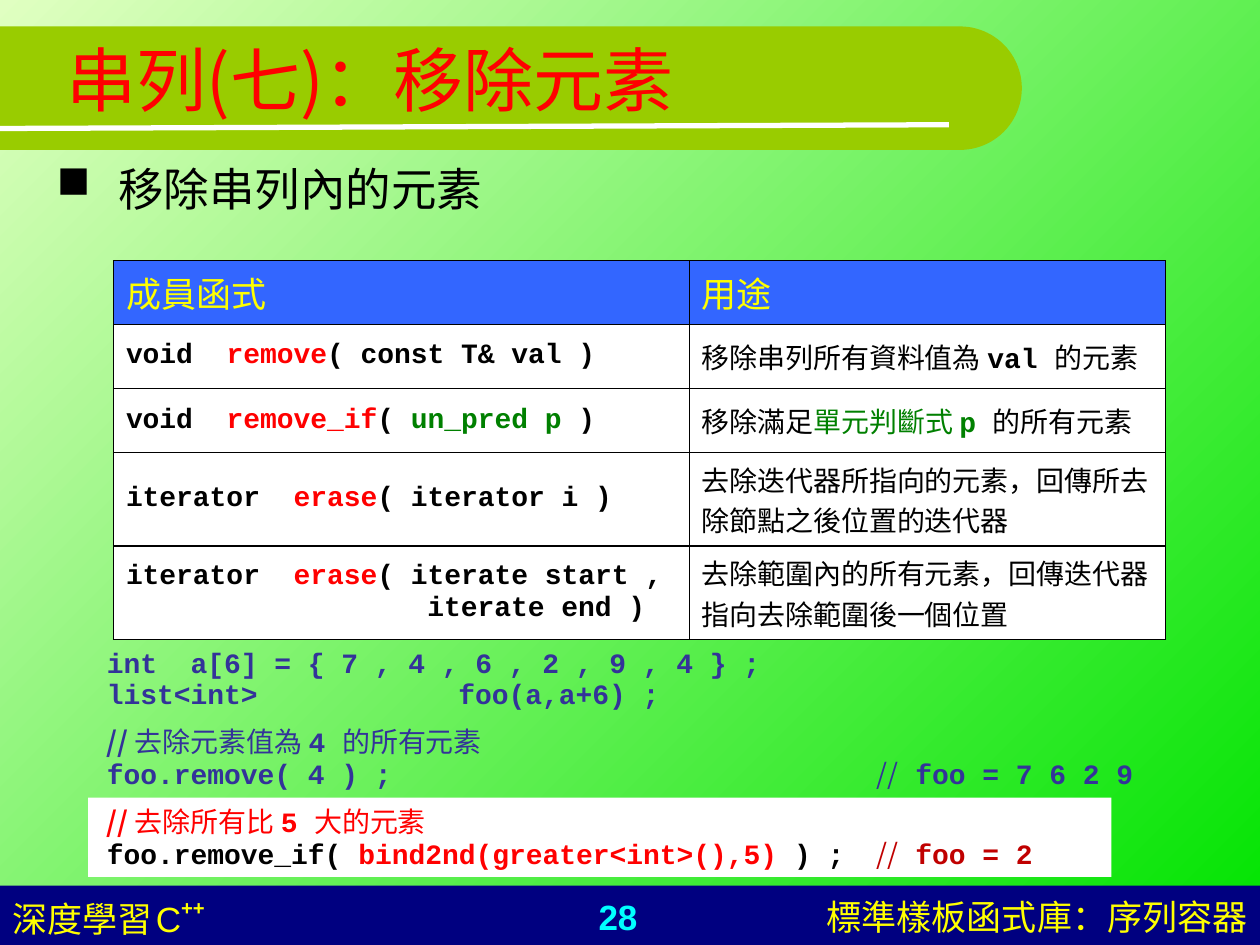
import math
from lxml import etree
from pptx import Presentation
from pptx import util as u
from pptx.dml import color
from pptx.enum import shapes, text
from pptx.oxml import ns

SANS, MONO = "Arial", "Courier New"
CJK_TC, CJK_SC = "Noto Sans CJK TC", "Noto Sans CJK SC"
BLACK, WHITE, RED, GREEN, YELLOW = "000000", "FFFFFF", "FF0000", "008000", "FFFF00"
INDIGO, CRIMSON = "333399", "C00000"
LEFT, CENTER, RIGHT = text.PP_ALIGN.LEFT, text.PP_ALIGN.CENTER, text.PP_ALIGN.RIGHT
MIDDLE = text.MSO_ANCHOR.MIDDLE


def rgb(hex_code):
    return color.RGBColor.from_string(hex_code)


def child(parent, tag, **attributes):
    return etree.SubElement(parent, ns.qn(tag), attributes)


def box(*lengths):
    return [u.Inches(length) for length in lengths]


def style_font(font, size=None, ink=None, bold=None, name=None, raised=None):
    if size:
        font.size = u.Pt(size)
    if ink:
        font.color.rgb = rgb(ink)
    if bold is not None:
        font.bold = bold
    if name:
        font.name = name
        child(font._element, "a:ea", typeface=CJK_SC if name == CJK_SC else CJK_TC)
    if raised:
        font._element.set("baseline", str(raised * 1000))


def run(words, **style):
    return words, style


def code(words, ink=None):
    return run(words, bold=True, ink=ink)


class SlideBuilder:
    def __init__(self, deck):
        self.slide = deck.slides.add_slide(deck.slide_layouts[5])
        self.shapes = self.slide.shapes

    def background(self, start, end):
        fill = self.slide.background.fill
        fill.gradient()
        fill.gradient_angle = 315
        for stop, hex_code in zip(fill.gradient_stops, (start, end)):
            stop.color.rgb = rgb(hex_code)

    def paint(self, shape, fill):
        shape.shadow.inherit = False
        shape.fill.solid()
        shape.fill.fore_color.rgb = rgb(fill)
        shape.line.fill.background()

    def rectangle(self, place, fill):
        self.paint(self.shapes.add_shape(shapes.MSO_SHAPE.RECTANGLE, *box(*place)), fill)

    def rounded_band(self, top, radius, centre_x, fill):
        """Band from the left edge of the slide that ends in a half circle."""
        steps = 48
        arc = [(centre_x + radius * math.sin(math.pi * i / steps),
                top + radius * (1 - math.cos(math.pi * i / steps)))
               for i in range(steps + 1)]
        outline = self.shapes.build_freeform(0, u.Inches(top))
        outline.add_line_segments([box(*point) for point in arc + [(0, top + 2 * radius)]])
        self.paint(outline.convert_to_shape(), fill)

    def line(self, ends, ink, width):
        rule = self.shapes.add_connector(shapes.MSO_CONNECTOR.STRAIGHT, *box(*ends))
        rule.line.color.rgb = rgb(ink)
        rule.line.width = u.Pt(width)
        child(rule._element.spPr, "a:effectLst")

    def paragraph(self, para, runs, align=LEFT, tabs=(), bullet=None, hanging=0,
                  spacing=None, before=None, **style):
        para.alignment = align
        if spacing:
            para.line_spacing = spacing
        if before:
            para.space_before = u.Pt(before)
        props = para._p.get_or_add_pPr()
        if hanging:
            props.set("marL", str(u.Inches(hanging)))
            props.set("indent", str(-u.Inches(hanging)))
        if bullet:
            child(child(props, "a:buClr"), "a:srgbClr", val=BLACK)
            child(props, "a:buChar", char=bullet)
        if tabs:
            stops = child(props, "a:tabLst")
            for stop in tabs:
                child(stops, "a:tab", pos=str(u.Inches(stop)), algn="l")
        style_font(para.font, **style)
        for words, changes in runs:
            for number, line in enumerate(words.split("\n")):
                if number:
                    para.add_line_break()
                part = para.add_run()
                part.text = line
                style_font(part.font, **changes)

    def text(self, place, paragraphs, **common):
        """Each paragraph is a pair: its runs and its own settings."""
        frame = self.shapes.add_textbox(*box(*place)).text_frame
        frame.word_wrap = True
        for number, (runs, own) in enumerate(paragraphs):
            para = frame.add_paragraph() if number else frame.paragraphs[0]
            self.paragraph(para, runs, **{**common, **own})

    def title(self, place, runs, **style):
        title = self.shapes.title
        title.left, title.top, title.width, title.height = box(*place)
        title.text_frame.vertical_anchor = MIDDLE
        self.paragraph(title.text_frame.paragraphs[0], runs, **style)
        self.shapes._spTree.append(title._element)  # in front of the band

    def cell(self, cell, runs, fill, **style):
        cell.vertical_anchor = MIDDLE
        cell.margin_left = cell.margin_right = u.Inches(0.1)
        props = cell._tc.get_or_add_tcPr()
        for side in "LRTB":
            border = child(props, f"a:ln{side}", w=str(u.Pt(0.75)))
            child(child(border, "a:solidFill"), "a:srgbClr", val=BLACK)
        cell.fill.solid()
        cell.fill.fore_color.rgb = rgb(fill)
        self.paragraph(cell.text_frame.paragraphs[0], runs, name=MONO, **style)

    def table(self, left, top, widths, heights, header, rows):
        table = self.shapes.add_table(len(heights), len(widths), *box(
            left, top, sum(widths), sum(heights))).table
        table.first_row = table.horz_banding = False
        for column, width in zip(table.columns, widths):
            column.width = u.Inches(width)
        for row, height in zip(table.rows, heights):
            row.height = u.Inches(height)
        for column, label in enumerate(header):
            self.cell(table.cell(0, column), [run(label)], "3366FF", size=20, ink=YELLOW)
        for number, (function, purpose, hanging) in enumerate(rows, 1):
            self.cell(table.cell(number, 0), function, WHITE, size=16, ink=BLACK,
                      bold=True, hanging=hanging)
            self.cell(table.cell(number, 1), purpose, WHITE, size=16, ink=BLACK)


def main():
    deck = Presentation()
    deck.slide_width, deck.slide_height = box(10, 7.5)
    page = SlideBuilder(deck)
    page.background("E0FFC1", "00E400")
    page.rectangle((0, 7.03, 10, 0.47), "000080")
    page.rounded_band(0.21, 0.49, 7.62, "99CC00")
    page.line((0, 1.02, 7.53, 0.99), WHITE, 3)
    page.rectangle((0.7, 6.33, 8.12, 0.63), WHITE)

    footer = dict(size=20, name=SANS)
    page.text((3.74, 7.06, 2.33, 0.44), [([run("28")], {})],
              align=CENTER, ink="00FFFF", bold=True, **footer)
    page.text((5.63, 7.06, 4.37, 0.44),
              [([run("標準樣板函式庫"), run("：", name=CJK_TC), run("序列容器")], {})],
              align=RIGHT, ink=YELLOW, **footer)
    page.text((0, 7.06, 2.33, 0.44),
              [([run("深度學習"), run(" ", size=8), run("C"),
                 run("++", bold=True, raised=46)], {})], ink=YELLOW, **footer)

    page.text((0.35, 1.31, 9.35, 0.47), [([run("移除串列內的元素")], {})],
              bullet="■", hanging=0.49, spacing=0.8, size=26, ink=BLACK, name=MONO)
    page.title((0.43, 0, 9, 1.25),
               [run("串列"), run("(七)", name=CJK_SC), run("：移除元素")],
               size=40, ink=RED, name=SANS)

    page.table(0.9, 2.07, (4.57, 3.78), (0.47, 0.51, 0.51, 0.64, 0.64),
               ("成員函式", "用途"), [
        ([run("void  "), run("remove", ink=RED), run("( const T& val )")],
         [run("移除串列所有資料值為 "), code("val "), run("的元素")], 0),
        ([run("void  "), run("remove_if", ink=RED), run("( "),
          run("un_pred p", ink=GREEN), run(" )")],
         [run("移除滿足"), run("單元判斷式 ", ink=GREEN), code("p ", GREEN),
          run("的所有元素")], 0),
        ([run("iterator  "), run("erase", ink=RED), run("( iterator i )")],
         [run("去除迭代器所指向的元素，回傳所去除節點之後位置的迭代器")], 2.12),
        ([run("iterator  "), run("erase", ink=RED),
          run("( iterate start ,\n iterate end )")],
         [run("去除範圍內的所有元素，回傳迭代器指向去除範圍後一個位置")], 2.26),
    ])

    slashes = run("//", name=CJK_SC)
    comment_column = dict(tabs=[6.11])
    page.text((0.75, 5.09, 8.98, 1.87), [
        ([code("int  a[6] = { 7 , 4 , 6 , 2 , 9 , 4 } ;")], {}),
        ([code("list<int>\tfoo(a,a+6) ;")], dict(tabs=[2.79])),
        ([run("// ", name=CJK_SC, bold=True), run("去除元素值為 "), code("4 "),
          run("的所有元素")], dict(before=9)),
        ([code("foo.remove( 4 ) ;\t"), slashes, code(" foo = 7 6 2 9")], comment_column),
        ([run("// ", name=CJK_SC, bold=True), run("去除所有比 "), code("5 "),
          run("大的元素")], dict(before=9, ink=RED)),
        ([code("foo.remove_if( ", BLACK), code("bind2nd(greater<int>(),5) ", RED),
          code(") ;\t", BLACK), slashes, code(" foo = 2")],
         dict(ink=CRIMSON, **comment_column)),
    ], spacing=0.95, size=16, ink=INDIGO, name=MONO)

    deck.save("out.pptx")


if __name__ == "__main__":
    main()
